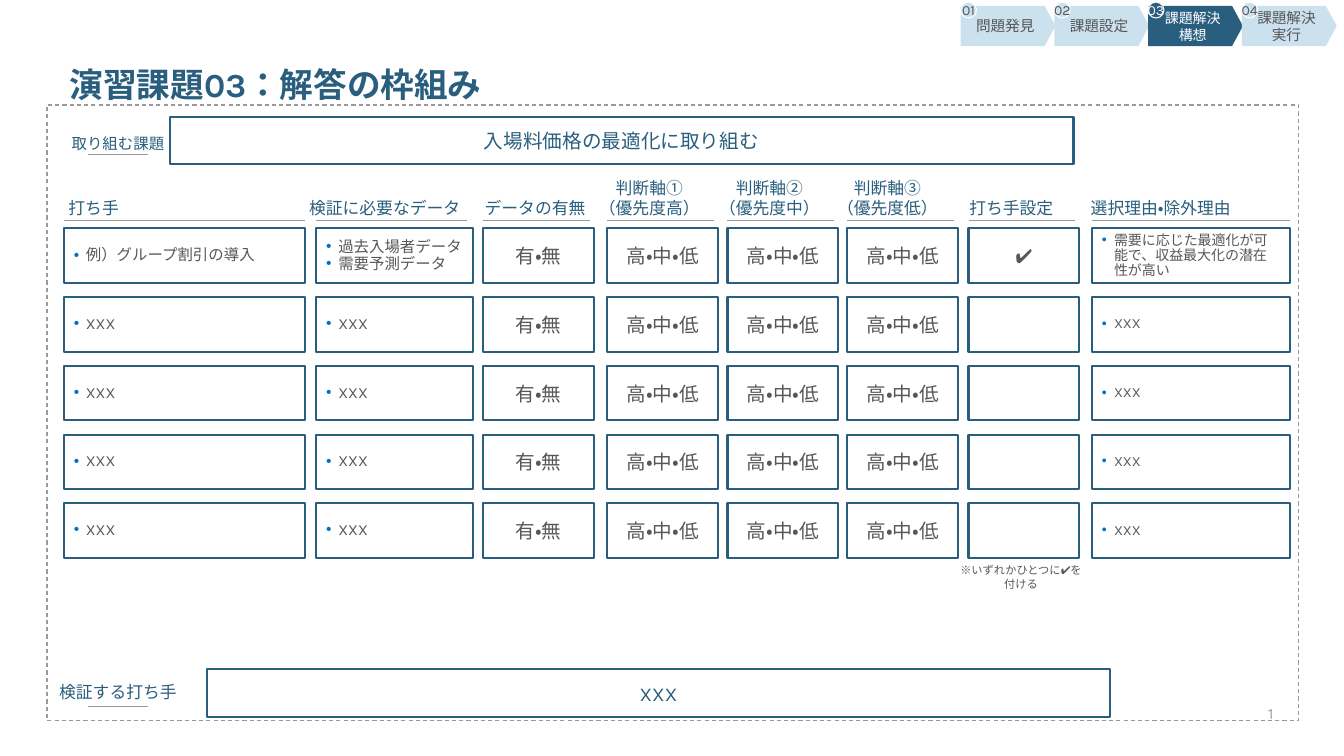
from lxml import etree
from pptx import Presentation, util as u
from pptx.dml.color import RGBColor
from pptx.enum import dml, lang, shapes, text
from pptx.oxml.ns import qn

DECK_WIDTH, DECK_HEIGHT = u.Inches(13.33), u.Inches(7.5)
GRID_COLUMNS, GRID_ROWS = 160, 90
POINTS_PER_COLUMN = 6
FONT = "Karla"
COLORS = {
    "navy": "295E7E",
    "pale": "CBE1EE",
    "body": "575757",
    "rule": "9A9A9A",
    "bullet": "0070C0",
    "number": "808080",
    "white": "FFFFFF",
}
LEFT, CENTER, RIGHT = text.PP_ALIGN.LEFT, text.PP_ALIGN.CENTER, text.PP_ALIGN.RIGHT
TOP, MIDDLE, BOTTOM = (text.MSO_ANCHOR.TOP, text.MSO_ANCHOR.MIDDLE,
                       text.MSO_ANCHOR.BOTTOM)
NO_INSETS = (0, 0, 0, 0)

STEPS = [["問題発見"], ["課題設定"], ["課題解決", "構想"], ["課題解決", "実行"]]
CURRENT_STEP = 2
STEP_LEFT, STEP_PITCH = 114.35, 11.16

BOX_TOP, BOX_HEIGHT, ROW_PITCH, ROW_COUNT = 27.2, 6.5, 8.18, 5
HEAD_TOP, HEAD_HEIGHT, HEAD_RULE, HEAD_SIZE = 23.05, 2.9, 26.2, 12
BANNER_RULE_LEFT, BANNER_RULE_WIDTH = 10.45, 7.2
JUDGE = ["高・中・低"]
# left, width, rule width, heading left, heading, heading alignment,
# first box, other boxes, text size, bulleted
MATRIX = [
    (7.6, 28.7, 28.7, 8.15, ["打ち手"], LEFT,
     ["例）グループ割引の導入"], ["XXX"], 11, True),
    (37.65, 18.7, 18, 36.55, ["検証に必要なデータ"], CENTER,
     ["過去入場者データ", "需要予測データ"], ["XXX"], 11, True),
    (57.5, 13.2, 12.7, 57.7, ["データの有無"], LEFT,
     ["有・無"], ["有・無"], 14, False),
    (72.3, 13.2, 12.7, 71.05, ["判断軸①", "（優先度高）"], CENTER,
     JUDGE, JUDGE, 14, False),
    (86.6, 13.2, 12.7, 85.35, ["判断軸②", "（優先度中）"], CENTER,
     JUDGE, JUDGE, 14, False),
    (100.85, 13.2, 12.7, 99.4, ["判断軸③", "（優先度低）"], CENTER,
     JUDGE, JUDGE, 14, False),
    (115.3, 13.2, 12.7, 115.4, ["打ち手設定"], LEFT,
     ["✔︎"], [], 14, False),
    (130, 23.6, 23.6, 129.85, ["選択理由・除外理由"], LEFT,
     ["需要に応じた最適化が可能で、収益最大化の潜在性が高い"], ["XXX"], 10, True),
]


def across(columns):
    return round(DECK_WIDTH * columns / GRID_COLUMNS)


def down(rows):
    return round(DECK_HEIGHT * rows / GRID_ROWS)


def place(left, top, width, height):
    return across(left), down(top), across(width), down(height)


def color(name):
    return RGBColor.from_string(COLORS[name])


def line_width(lines, size):
    """Columns that hold the longest line of full-width characters unbroken."""
    return max(map(len, lines)) * size / POINTS_PER_COLUMN + 0.5


def add_bullet(para):
    properties = para._p.get_or_add_pPr()
    properties.set("marL", str(u.Inches(0.12)))
    properties.set("indent", str(u.Inches(-0.12)))
    tint = etree.SubElement(properties, qn("a:buClr"))
    etree.SubElement(tint, qn("a:srgbClr"), val=COLORS["bullet"])
    etree.SubElement(properties, qn("a:buFont"), typeface="Arial")
    etree.SubElement(properties, qn("a:buChar"), char="•")


def write(box, lines, size, ink, align=CENTER, anchor=MIDDLE, wrap=True,
          insets=None, bulleted=False, bold=False, spacing=None, font=FONT):
    """Fill a box with one paragraph per line; insets are left, top, right, bottom."""
    frame = box.text_frame
    frame.word_wrap = wrap
    frame.vertical_anchor = anchor
    if insets:
        (frame.margin_left, frame.margin_top,
         frame.margin_right, frame.margin_bottom) = insets
    for index, line in enumerate(lines):
        para = frame.add_paragraph() if index else frame.paragraphs[0]
        para.alignment = align
        if spacing:
            para.line_spacing = spacing
        if bulleted:
            add_bullet(para)
        span = para.add_run()
        span.text = line
        span.font.name = font
        span.font.size = u.Pt(size)
        span.font.bold = bold
        span.font.color.rgb = color(ink)
        span.font.language_id = lang.MSO_LANGUAGE_ID.JAPANESE


def add_label(page, area, lines, size, ink, **style):
    write(page.shapes.add_textbox(*place(*area)), lines, size, ink, **style)


def add_figure(page, kind, area, fill=None, line=None, weight=1.5):
    figure = page.shapes.add_shape(kind, *place(*area))
    figure.shadow.inherit = False
    if fill:
        figure.fill.solid()
        figure.fill.fore_color.rgb = color(fill)
    else:
        figure.fill.background()
    if line:
        figure.line.color.rgb = color(line)
        figure.line.width = u.Pt(weight)
    else:
        figure.line.fill.background()
    return figure


def add_box(page, area):
    return add_figure(page, shapes.MSO_SHAPE.RECTANGLE, area, line="navy")


def add_rule(page, left, top, width):
    rule = page.shapes.add_connector(
        shapes.MSO_CONNECTOR.STRAIGHT,
        across(left), down(top), across(left + width), down(top))
    rule.line.color.rgb = color("rule")
    rule.line.width = u.Pt(0.75)
    etree.SubElement(rule._element.spPr, qn("a:effectLst"))


def add_step_tracker(page):
    looks = [("navy", "white") if index == CURRENT_STEP else ("pale", "body")
             for index in range(len(STEPS))]
    lefts = [STEP_LEFT + index * STEP_PITCH for index in range(len(STEPS))]
    for index, (left, (fill, ink)) in enumerate(zip(lefts, looks)):
        arrow = add_figure(page, shapes.MSO_SHAPE.PENTAGON,
                           (left, 0.7, 11.3, 4.8), fill)
        arrow.adjustments[0] = 0.27
        write(arrow, STEPS[index], 10 if index == CURRENT_STEP else 10.5, ink,
              wrap=False)
    for index, (left, (fill, ink)) in enumerate(zip(lefts, looks)):
        badge = add_figure(page, shapes.MSO_SHAPE.OVAL, (left, 0.25, 1.9, 1.9),
                           fill, "white", 0.75)
        write(badge, [f"{index + 1:02}"], 10, ink, wrap=False)


def add_matrix_column(page, left, width, rule_width, head_left, heading, align,
                      first, others, size, bulleted):
    head_height = HEAD_HEIGHT * len(heading)
    add_label(page, (head_left, HEAD_TOP + HEAD_HEIGHT - head_height,
                     line_width(heading, HEAD_SIZE), head_height),
              heading, HEAD_SIZE, "navy", align=align, anchor=BOTTOM,
              wrap=False, insets=NO_INSETS)
    add_rule(page, left, HEAD_RULE, rule_width)
    for row in range(ROW_COUNT):
        box = add_box(page, (left, BOX_TOP + row * ROW_PITCH, width, BOX_HEIGHT))
        write(box, others if row else first, size, "body", wrap=bulleted,
              align=LEFT if bulleted else CENTER, bulleted=bulleted,
              spacing=0.9 if bulleted else None)


def add_banner(page, label, label_top, label_size, rule_top, area, message):
    """Add an underlined label and the wide box that it names."""
    label_width = line_width([label], label_size)
    label_left = BANNER_RULE_LEFT + (BANNER_RULE_WIDTH - label_width) / 2
    add_label(page, (label_left, label_top, label_width, 2.9), [label],
              label_size, "navy", anchor=BOTTOM, wrap=False, insets=NO_INSETS)
    add_rule(page, BANNER_RULE_LEFT, rule_top, BANNER_RULE_WIDTH)
    write(add_box(page, area), [message], 14, "navy")


def main():
    deck = Presentation()
    deck.slide_width, deck.slide_height = DECK_WIDTH, DECK_HEIGHT
    page = deck.slides.add_slide(deck.slide_layouts[6])

    add_label(page, (146.5, 84, 5.05, 2.05), ["1"], 10, "number", align=RIGHT,
              anchor=BOTTOM, insets=NO_INSETS, font="Quicksand")
    add_step_tracker(page)
    frame = add_figure(page, shapes.MSO_SHAPE.RECTANGLE,
                       (5.6, 12.5, 149, 73.3), line="rule", weight=0.75)
    frame.line.dash_style = dml.MSO_LINE.DASH
    add_label(page, (8.3, 8.15, 143.5, 4.3), ["演習課題03：解答の枠組み"], 24,
              "navy", align=LEFT, anchor=TOP, insets=NO_INSETS, bold=True,
              spacing=0.9)

    add_banner(page, "取り組む課題", 15.25, 11, 18.35,
               (20.2, 13.9, 107.6, 5.65), "入場料価格の最適化に取り組む")
    for column in MATRIX:
        add_matrix_column(page, *column)
    add_label(page, (112.55, 66.5, 18, 2.9), ["※いずれか︎ひとつに✔を付ける"], 8,
              "body", anchor=TOP)
    add_banner(page, "検証する打ち手", 80.65, 12, 84.1,
               (24.6, 79.7, 107.6, 5.65), "XXX")

    deck.save("out.pptx")


if __name__ == "__main__":
    main()
